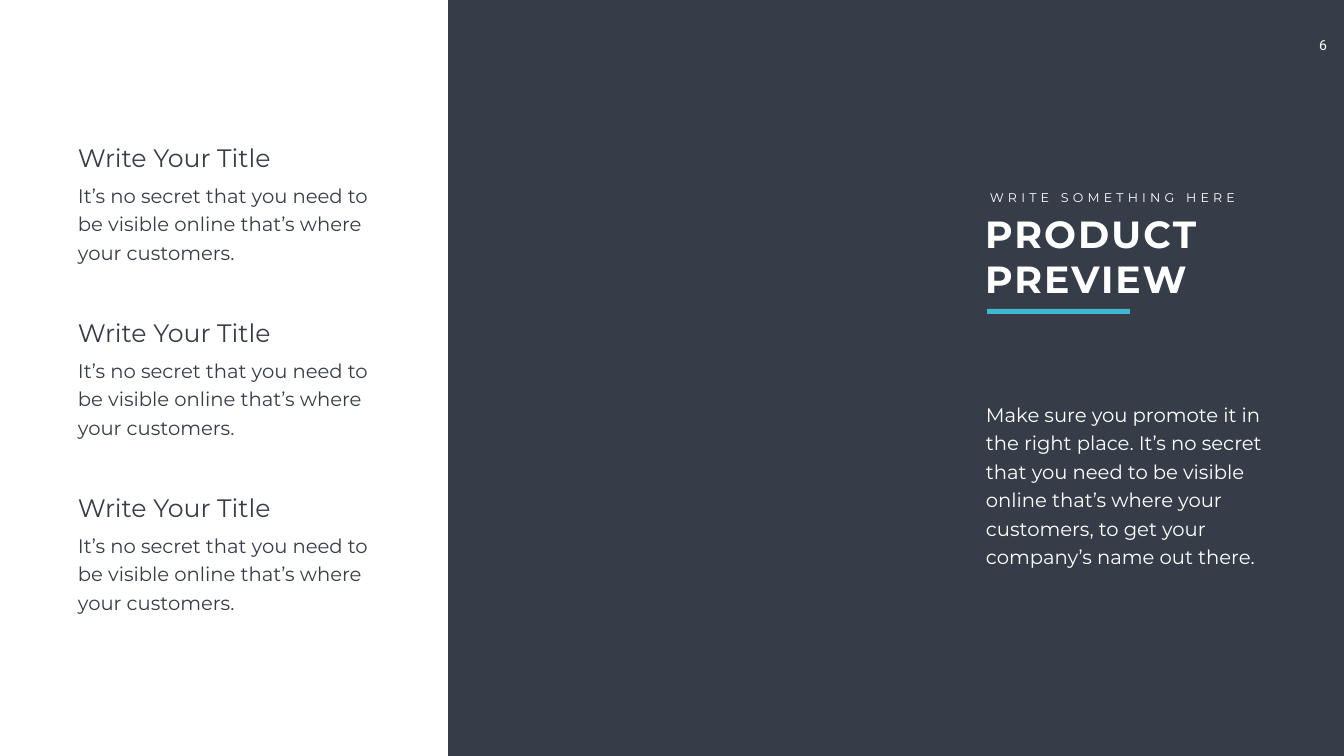
from pptx import Presentation
from pptx.dml.color import RGBColor
from pptx.enum.shapes import MSO_SHAPE
from pptx.enum.text import MSO_ANCHOR, MSO_AUTO_SIZE, PP_ALIGN
from pptx.util import Emu, Pt

DARK, WHITE, TEAL = "363D48", "FFFFFF", "40B8D1"


def px(n):
    return Emu(round(n * 914400 / 50.4))


def rgb(value):
    return RGBColor.from_string(value)


class Deck:
    font = "Montserrat"

    def __init__(self, width, height, background):
        self.prs = Presentation()
        self.prs.slide_width, self.prs.slide_height = px(width), px(height)
        self.s = self.prs.slides.add_slide(self.prs.slide_layouts[5])
        fill = self.s.background.fill
        fill.solid()
        fill.fore_color.rgb = rgb(background)

    def rect(self, x, y, w, h, color):
        sp = self.s.shapes.add_shape(MSO_SHAPE.RECTANGLE, px(x), px(y), px(w), px(h))
        sp.shadow.inherit = False
        sp.fill.solid()
        sp.fill.fore_color.rgb = rgb(color)
        sp.line.fill.background()

    def set_text(self, sp, text, size, color, bold=False, leading=None,
                 spacing=0, align=PP_ALIGN.LEFT, font=None):
        tf = sp.text_frame
        tf.word_wrap = True
        tf.auto_size = MSO_AUTO_SIZE.SHAPE_TO_FIT_TEXT
        tf.vertical_anchor = MSO_ANCHOR.TOP
        p = tf.paragraphs[0]
        p.alignment = align
        if leading:
            p.line_spacing = Pt(leading)
        r = p.add_run()
        r.text = text
        if spacing:
            r._r.get_or_add_rPr().set("spc", str(spacing * 100))
        p.font.name = font or self.font
        p.font.size = Pt(size)
        p.font.bold = bold
        p.font.color.rgb = rgb(color)

    def text(self, x, y, w, h, text, size, color, **style):
        sp = self.s.shapes.add_textbox(px(x), px(y), px(w), px(h))
        self.set_text(sp, text, size, color, **style)

    def title(self, x, y, w, h, text, size, color, **style):
        sp = self.s.shapes.title
        sp.left, sp.top, sp.width, sp.height = px(x), px(y), px(w), px(h)
        self.set_text(sp, text, size, color, **style)

    def body(self, x, y, w, h, text, color):
        self.text(x, y, w, h, text, 28, color, leading=40.8)


def main():
    deck = Deck(1344, 756, DARK)
    deck.rect(0, 0, 448, 756, WHITE)
    deck.text(1304, 34, 38, 27, "6", 20, WHITE, align=PP_ALIGN.CENTER, font="Roboto")

    for i in range(3):
        y = 140 + 175 * i
        deck.text(73, y, 227, 36, "Write Your Title", 36, DARK)
        deck.body(73, y + 36, 301, 90,
                  "It’s no secret that you need to be visible online that’s where your customers.", DARK)

    deck.text(985, 187, 275, 20, "WRITE SOMETHING HERE", 18, WHITE, spacing=6)
    deck.title(980, 208, 267, 97, "PRODUCT PREVIEW", 54, WHITE, bold=True, spacing=3)
    deck.rect(987, 309, 143, 5, TEAL)
    deck.body(981, 395, 289, 176,
              "Make sure you promote it in the right place. It’s no secret that you need to be "
              "visible online that’s where your customers, to get your company’s name out there.", WHITE)
    deck.prs.save("out.pptx")


if __name__ == "__main__":
    main()
